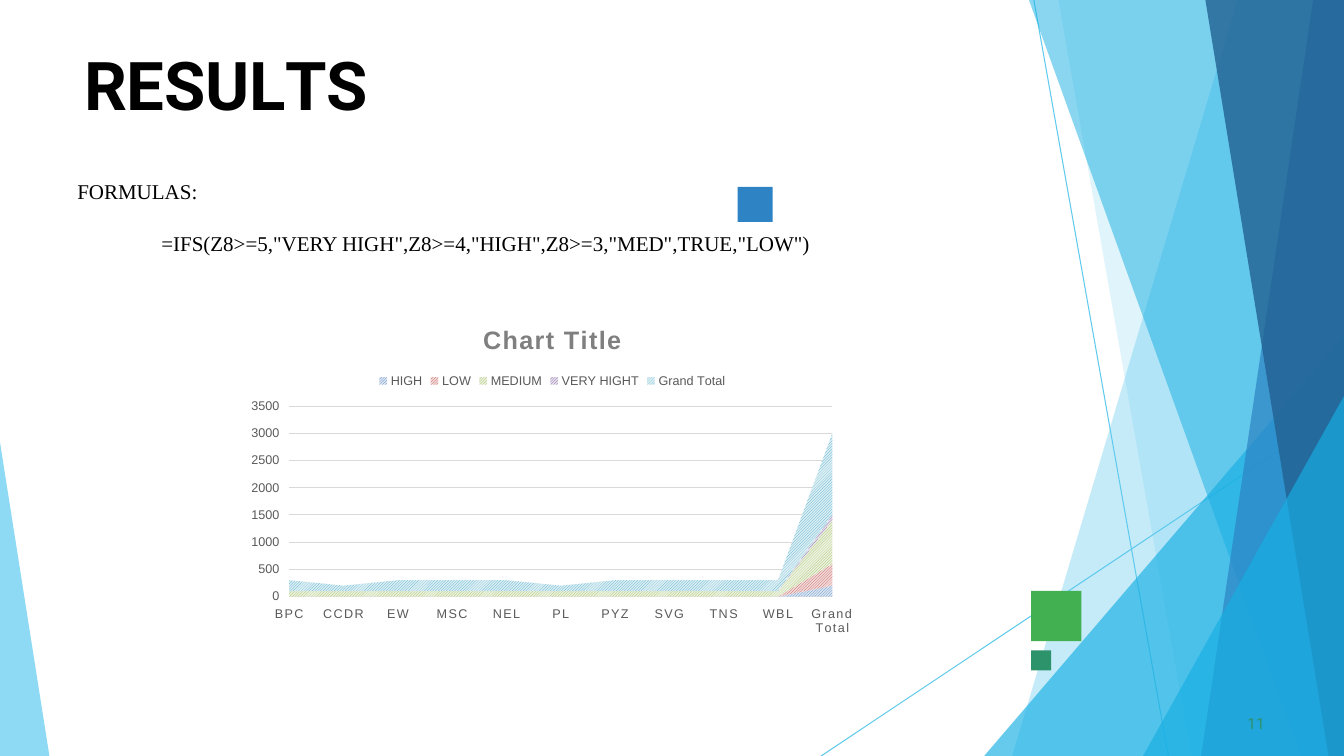
from lxml.etree import SubElement
from pptx import Presentation
from pptx.chart.data import CategoryChartData
from pptx.dml.color import RGBColor
from pptx.enum.chart import XL_CHART_TYPE, XL_LEGEND_POSITION
from pptx.enum.dml import MSO_PATTERN
from pptx.enum.shapes import MSO_CONNECTOR, MSO_SHAPE
from pptx.enum.text import MSO_ANCHOR, MSO_AUTO_SIZE, PP_ALIGN
from pptx.oxml.ns import qn
from pptx.util import Pt

WIDTH, HEIGHT = 960, 540
BLACK = RGBColor(0x00, 0x00, 0x00)
SKY = RGBColor(0x5F, 0xCA, 0xEE)
CYAN = RGBColor(0x17, 0xAF, 0xE3)
BLUE = RGBColor(0x2D, 0x83, 0xC3)
NAVY = RGBColor(0x22, 0x61, 0x92)
GREEN = RGBColor(0x42, 0xAF, 0x51)
TEAL = RGBColor(0x2D, 0x93, 0x6B)
TITLE_GRAY = RGBColor(0x7F, 0x7F, 0x7F)
LABEL_GRAY = RGBColor(0x59, 0x59, 0x59)
GRID_GRAY = RGBColor(0xD9, 0xD9, 0xD9)


def write(paragraph, text, font="Roboto", size=15, color=BLACK, bold=False, spacing=0):
    run = paragraph.add_run()
    run.text = text
    run.font.name = font
    run.font.size = Pt(size)
    run.font.color.rgb = color
    run.font.bold = bold
    if spacing:
        run.font._element.set("spc", str(round(spacing * 100)))


def place(shape, left, top, width, height):
    shape.left, shape.top = Pt(left), Pt(top)
    shape.width, shape.height = Pt(width), Pt(height)


presentation = Presentation()
presentation.slide_width, presentation.slide_height = Pt(WIDTH), Pt(HEIGHT)
slide = presentation.slides.add_slide(presentation.slide_layouts[1])
shapes = slide.shapes

# Thin crossing lines
for x1, y1, x2, y2 in [(738.5, 0, 834.5, HEIGHT), (WIDTH, 291, 586.5, HEIGHT)]:
    line = shapes.add_connector(MSO_CONNECTOR.STRAIGHT, Pt(x1), Pt(y1), Pt(x2), Pt(y2))
    line.line.color.rgb = SKY
    line.line.width = Pt(0.75)
    SubElement(line._element.spPr, qn("a:effectLst"))

# Translucent facets: corner points, colour, opacity in percent
right_edge = [(WIDTH, HEIGHT), (WIDTH, 0)]
facets = [
    ([(884, 0), (723, HEIGHT)] + right_edge, SKY, 36),
    ([(756, 0), (851, HEIGHT)] + right_edge, SKY, 20),
    ([(WIDTH, 240), (703, HEIGHT), (WIDTH, HEIGHT)], CYAN, 66),
    ([(735, 0), (929.5, HEIGHT)] + right_edge, CYAN, 50),
    ([(938, 0), (858, HEIGHT)] + right_edge, BLUE, 70),
    ([(861, 0), (949, HEIGHT)] + right_edge, NAVY, 80),
    ([(WIDTH, 283), (816.5, HEIGHT), (WIDTH, HEIGHT)], CYAN, 66),
    ([(0, 316), (0, HEIGHT), (35.3, HEIGHT)], SKY, 70),
]
for points, color, opacity in facets:
    corners = [(Pt(x), Pt(y)) for x, y in points]
    builder = shapes.build_freeform(*corners[0])
    builder.add_line_segments(corners[1:], close=True)
    facet = builder.convert_to_shape()
    facet.shadow.inherit = False
    facet.fill.solid()
    facet.fill.fore_color.rgb = color
    facet.line.fill.background()
    color_element = facet._element.spPr.find(".//" + qn("a:srgbClr"))
    SubElement(color_element, qn("a:alpha")).set("val", str(opacity * 1000))

# Accent squares
for left, top, size, color in [
    (736.5, 422, 36, GREEN),
    (527, 133.5, 25, BLUE),
    (736.5, 464.5, 14.4, TEAL),
]:
    square = shapes.add_shape(MSO_SHAPE.RECTANGLE, Pt(left), Pt(top), Pt(size), Pt(size))
    square.shadow.inherit = False
    square.fill.solid()
    square.fill.fore_color.rgb = color
    square.line.fill.background()

# Title
title = shapes.title
place(title, 60, 30, 841, 58.5)
frame = title.text_frame
frame.auto_size = MSO_AUTO_SIZE.NONE
frame.vertical_anchor = MSO_ANCHOR.TOP
frame.margin_left = frame.margin_right = frame.margin_bottom = 0
frame.margin_top = Pt(1)
paragraph = frame.paragraphs[0]
paragraph.alignment = PP_ALIGN.LEFT
paragraph.space_before = Pt(1)
for letters, spacing in [("RESU", -0.2), ("L", -4), ("TS", 0)]:
    write(paragraph, letters, size=48, bold=True, spacing=spacing)

# Formulas
body = slide.placeholders[1]
place(body, 48, 124, 864, 243)
frame = body.text_frame
frame.auto_size = MSO_AUTO_SIZE.NONE
formula = '=IFS(Z8>=5,"VERY HIGH",Z8>=4,"HIGH",Z8>=3,"MED",TRUE,"LOW")'
for text, indent, gap in [("FORMULAS:", 0, 0), (formula, 60, 19)]:
    paragraph = frame.add_paragraph() if gap else frame.paragraphs[0]
    paragraph.space_before = Pt(gap)
    properties = paragraph._p.get_or_add_pPr()
    properties.set("marL", str(Pt(indent)))
    properties.set("indent", "0")
    SubElement(properties, qn("a:buNone"))
    write(paragraph, text, font="Times New Roman")

# Slide number
number = shapes.add_textbox(Pt(888), Pt(510), Pt(18), Pt(13))
frame = number.text_frame
frame.word_wrap = False
frame.margin_left = Pt(3)
frame.margin_right = frame.margin_top = frame.margin_bottom = 0
write(frame.paragraphs[0], "11", size=11, color=TEAL, spacing=0.1)

# Chart data: name, value of each category, grand total, pattern colours
series_rows = [
    ("HIGH", [0] * 10 + [200], "4F81BD", "DCE6F2"),
    ("LOW", [0] * 10 + [400], "C0504D", "F2DCDB"),
    ("MEDIUM", [100] * 10 + [800], "9BBB59", "EBF1DE"),
    ("VERY HIGHT", [0] * 10 + [100], "8064A2", "E6E0EC"),
    ("Grand Total", [200, 100, 200, 200, 200, 100, 200, 200, 200, 200, 1500],
     "4BACC6", "DBEEF4"),
]
data = CategoryChartData()
data.categories = ["BPC", "CCDR", "EW", "MSC", "NEL", "PL", "PYZ", "SVG", "TNS",
                   "WBL", "Grand Total"]
for name, values, _, _ in series_rows:
    data.add_series(name, values)

# Stacked area chart
chart = shapes.add_chart(XL_CHART_TYPE.AREA_STACKED, Pt(170.5), Pt(219), Pt(448),
                         Pt(240), data).chart
chart.font.name = "Arial"
chart.font.size = Pt(10)
chart.has_title = True
write(chart.chart_title.text_frame.paragraphs[0], "Chart Title", font="Arial",
      size=18, color=TITLE_GRAY, bold=True, spacing=1)
chart.has_legend = True
chart.legend.position = XL_LEGEND_POSITION.TOP
chart.legend.include_in_layout = False

for series, (_, _, foreground, background) in zip(chart.plots[0].series, series_rows):
    fill = series.format.fill
    fill.patterned()
    fill.pattern = MSO_PATTERN.LIGHT_UPWARD_DIAGONAL
    fill.fore_color.rgb = RGBColor.from_string(foreground)
    fill.back_color.rgb = RGBColor.from_string(background)
    series.format.line.fill.background()

# Axes and label fonts
category_axis, value_axis = chart.category_axis, chart.value_axis
for font in (category_axis.tick_labels.font, value_axis.tick_labels.font, chart.legend.font):
    font.name = "Arial"
    font.size = Pt(9)
    font.color.rgb = LABEL_GRAY
for axis in (category_axis, value_axis):
    axis.format.line.fill.background()
category_axis.tick_labels.font._element.set("spc", "100")
value_axis.minimum_scale, value_axis.maximum_scale = 0, 3500
value_axis.major_unit = 500
value_axis.has_major_gridlines = True
value_axis.major_gridlines.format.line.color.rgb = GRID_GRAY
value_axis.major_gridlines.format.line.width = Pt(0.75)
for crossing in chart.element.iter(qn("c:crossBetween")):
    crossing.set("val", "midCat")

presentation.save("out.pptx")
